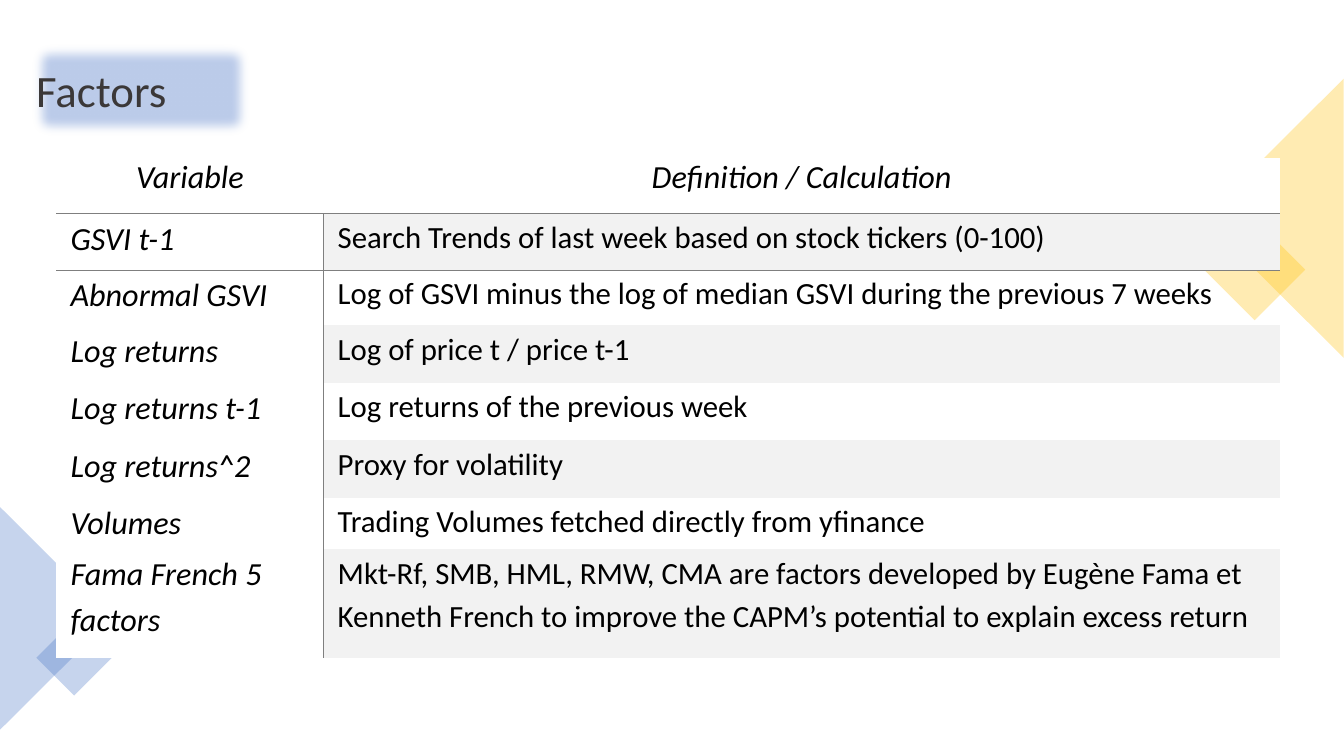
"""Build the Factors slide: a table of variables and their definitions."""
import pptx
import pptx.chart.data
import pptx.dml.color
import pptx.enum.shapes
import pptx.enum.text
import pptx.oxml
import pptx.oxml.ns
import pptx.util

RGBColor = pptx.dml.color.RGBColor
AMBER = RGBColor(0xFF, 0xC0, 0x00)
BLUE = RGBColor(0x44, 0x72, 0xC4)
PALE_BLUE = RGBColor(0x8F, 0xAA, 0xDC)
CHARCOAL = RGBColor(0x3B, 0x38, 0x38)
BLACK = RGBColor(0x00, 0x00, 0x00)
WHITE = RGBColor(0xFF, 0xFF, 0xFF)
BAND = RGBColor(0xF2, 0xF2, 0xF2)
RULE = RGBColor(0x7F, 0x7F, 0x7F)
NO_STYLE = "{2D5ABB26-0587-4C30-8999-92F81FD0307C}"
DRAWING = 'xmlns:a="http://schemas.openxmlformats.org/drawingml/2006/main"'
RECTANGLE = pptx.enum.shapes.MSO_SHAPE.RECTANGLE
TRIANGLE = pptx.enum.shapes.MSO_SHAPE.ISOSCELES_TRIANGLE
LEFT, CENTER = pptx.enum.text.PP_ALIGN.LEFT, pptx.enum.text.PP_ALIGN.CENTER

deck = pptx.Presentation()
deck.slide_width = pptx.util.Inches(13.33)
deck.slide_height = pptx.util.Inches(7.5)
slide = deck.slides.add_slide(deck.slide_layouts[6])


def share(*percents):
    """Turn percentages of slide width and height, in turn, into lengths."""
    sides = (deck.slide_width, deck.slide_height) * 2
    return [round(side * percent / 100) for side, percent in zip(sides, percents)]


def add_tinted(preset, box, color, opacity):
    """Add an unoutlined shape with a translucent fill."""
    tinted = slide.shapes.add_shape(preset, *share(*box))
    tinted.shadow.inherit = False
    tinted.fill.solid()
    tinted.fill.fore_color.rgb = color
    tinted.line.fill.background()
    tint = tinted._element.spPr.find(".//" + pptx.oxml.ns.qn("a:srgbClr"))
    tint.append(pptx.oxml.parse_xml(f'<a:alpha {DRAWING} val="{opacity * 1000}"/>'))
    return tinted


ornaments = [
    (RECTANGLE, (90.68, 30.93, 5.33, 9.47), AMBER, 45),
    (TRIANGLE, (84.38, 19.6, 20.78, 18.53), AMBER, 270),
    (TRIANGLE, (-4.13, 74.4, 16.58, 14.8), BLUE, 90),
    (RECTANGLE, (3.53, 83.47, 3.98, 7.07), BLUE, 45),
]
for preset, box, color, turn in ornaments:
    add_tinted(preset, box, color, 30).rotation = turn

factors = [
    ("Variable", "Definition / Calculation", 7.33),
    ("GSVI t-1", "Search Trends of last week based on stock tickers (0-100)", 7.47),
    ("Abnormal GSVI",
     "Log of GSVI minus the log of median GSVI during the previous 7 weeks", 7.33),
    ("Log returns", "Log of price t / price t-1", 7.6),
    ("Log returns t-1", "Log returns of the previous week", 7.6),
    ("Log returns^2", "Proxy for volatility", 7.6),
    ("Volumes", "Trading Volumes fetched directly from yfinance", 6.8),
    ("Fama French 5 factors",
     "Mkt-Rf, SMB, HML, RMW, CMA are factors developed by Eugène Fama et "
     "Kenneth French to improve the CAPM’s potential to explain excess return", 14.4),
]
frame = slide.shapes.add_table(len(factors), 2, *share(4.2, 20.93, 91.06, 66.13))
definitions = frame.table
definitions.first_row = False
definitions.horz_banding = False
frame._element.find(".//" + pptx.oxml.ns.qn("a:tableStyleId")).text = NO_STYLE
for column, percent in zip(definitions.columns, (19.88, 71.18)):
    column.width = share(percent)[0]

for row, (variable, definition, percent) in enumerate(factors):
    definitions.rows[row].height = share(0, percent)[1]
    header = row == 0
    for col, wording in enumerate((variable, definition)):
        cell = definitions.cell(row, col)
        margins = {"margin_left": 0.14, "margin_right": 0.14,
                   "margin_top": 0, "margin_bottom": 0}
        for side, inches in margins.items():
            setattr(cell, side, pptx.util.Inches(inches))

        if header or col == 0:
            cell.fill.solid()
            cell.fill.fore_color.rgb = WHITE
        elif row % 2:
            cell.fill.solid()
            cell.fill.fore_color.rgb = BAND
        else:
            cell.fill.background()

        ruled = {"lnL": not header and col == 1, "lnR": not header and col == 0,
                 "lnT": row == 1, "lnB": header}
        edges = [edge for edge, shown in ruled.items() if shown]
        for place, edge in enumerate(edges):
            cell._tc.tcPr.insert(place, pptx.oxml.parse_xml(
                f'<a:{edge} {DRAWING} w="12700"><a:solidFill>'
                f'<a:srgbClr val="{RULE}"/></a:solidFill></a:{edge}>'))

        cell.text = wording
        paragraph = cell.text_frame.paragraphs[0]
        paragraph.alignment = CENTER if header else LEFT
        paragraph.line_spacing = 1.0 if header else 1.15
        italic = header or col == 0
        font = paragraph.runs[0].font
        lettering = {"name": "Calibri", "size": pptx.util.Pt(23 if italic else 22),
                     "italic": italic, "bold": False}
        for trait, value in lettering.items():
            setattr(font, trait, value)
        font.color.rgb = BLACK

heading = add_tinted(RECTANGLE, (1.95, 5.07, 17.1, 13.6), PALE_BLUE, 59)
heading._element.spPr.find(pptx.oxml.ns.qn("a:effectLst")).append(
    pptx.oxml.parse_xml(f'<a:softEdge {DRAWING} rad="112500"/>'))
heading.text_frame.text = "Factors"
heading.text_frame.vertical_anchor = pptx.enum.text.MSO_ANCHOR.MIDDLE
heading.text_frame.paragraphs[0].alignment = LEFT
heading_font = heading.text_frame.paragraphs[0].runs[0].font
heading_font.name = "Calibri"
heading_font.size = pptx.util.Pt(32)
heading_font.color.rgb = CHARCOAL

deck.save("out.pptx")
